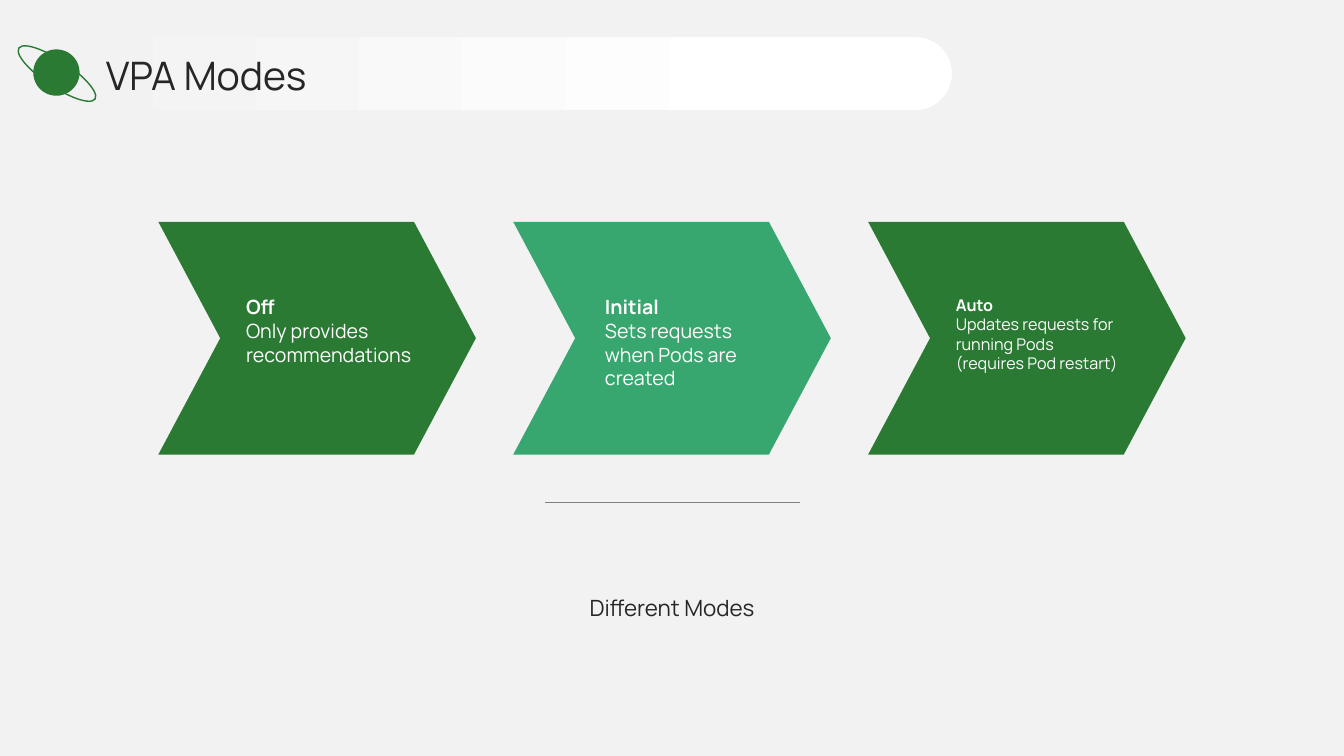
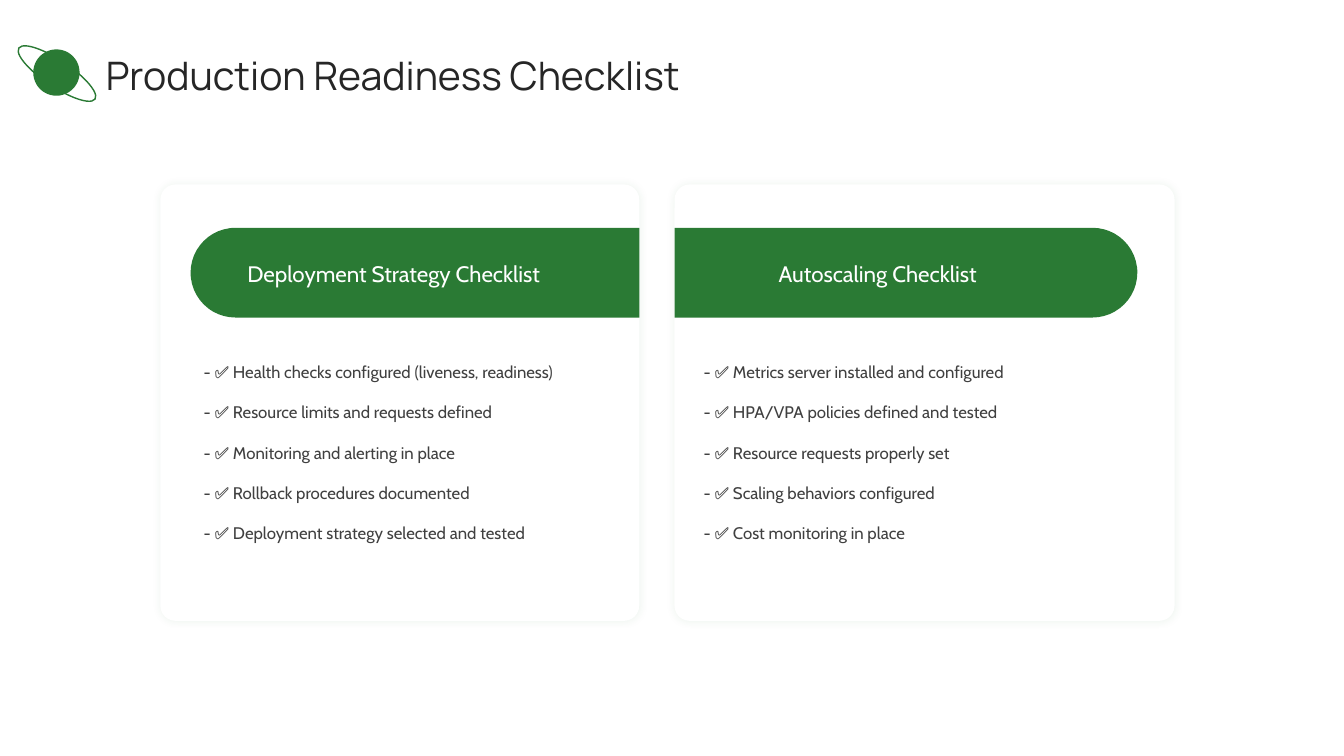
from dataclasses import dataclass

import lxml.etree
import pptx
import pptx.dml.color
import pptx.enum.shapes
import pptx.enum.text
import pptx.oxml.ns
import pptx.util

Inches = pptx.util.Inches
SHAPE = pptx.enum.shapes.MSO_SHAPE
ALIGN = pptx.enum.text.PP_ALIGN
ANCHOR = pptx.enum.text.MSO_ANCHOR
qn = pptx.oxml.ns.qn


@dataclass(frozen=True)
class Theme:
    green: str = "2A7A34"
    mint: str = "37A76F"
    white: str = "FFFFFF"
    mist: str = "F2F2F2"
    ink: str = "262626"
    body_ink: str = "404040"
    rule: str = "808080"
    heading_font: str = "Manrope"
    body_font: str = "Cabin"
    title_size: float = 28
    label_size: float = 16
    mode_size: float = 14
    small_mode_size: float = 11.5
    item_size: float = 12


THEME = Theme()


def rgb(color):
    return pptx.dml.color.RGBColor.from_string(color)


# Basic elements
def add_shape(slide, kind, box, fill=None, outline=None, adjustments=(), rotation=0):
    shape = slide.shapes.add_shape(kind, *map(Inches, box))
    shape.shadow.inherit = False
    shape.rotation = rotation
    for index, value in enumerate(adjustments):
        shape.adjustments[index] = value
    if fill:
        shape.fill.solid()
        shape.fill.fore_color.rgb = rgb(fill)
    else:
        shape.fill.background()
    if outline:
        shape.line.color.rgb = rgb(outline)
        shape.line.width = pptx.util.Pt(1)
    else:
        shape.line.fill.background()
    return shape


def add_text(slide, box, lines, size, color, font, align=ALIGN.LEFT,
             anchor=ANCHOR.TOP, spacing=None, bold_first=False):
    frame = slide.shapes.add_textbox(*map(Inches, box)).text_frame
    frame.word_wrap = True
    frame.vertical_anchor = anchor
    frame.margin_left = frame.margin_right = frame.margin_top = frame.margin_bottom = 0
    frame.text = "\n".join(lines)
    for index, paragraph in enumerate(frame.paragraphs):
        paragraph.alignment = align
        paragraph.line_spacing = spacing
        for run in paragraph.runs:
            run.font.size = pptx.util.Pt(size)
            run.font.name = font
            run.font.color.rgb = rgb(color)
            run.font.bold = bold_first and index == 0


def add_rule(slide, left, right, y):
    rule = slide.shapes.add_connector(pptx.enum.shapes.MSO_CONNECTOR.STRAIGHT,
                                      *map(Inches, (left, y, right, y)))
    rule.line.color.rgb = rgb(THEME.rule)
    rule.line.width = pptx.util.Pt(0.5)
    lxml.etree.SubElement(rule._element.spPr, qn("a:effectLst"))


def add_glow(card):
    effects = card._element.spPr.find(qn("a:effectLst"))
    shadow = lxml.etree.SubElement(effects, qn("a:outerShdw"),
                                   blurRad=str(pptx.util.Pt(5.6)), dist="0", dir="0",
                                   algn="ctr", rotWithShape="0")
    tint = lxml.etree.SubElement(shadow, qn("a:srgbClr"), val=THEME.green)
    lxml.etree.SubElement(tint, qn("a:alpha"), val="8000")


# Parts shared by the slides
def add_slide(deck, background):
    slide = deck.slides.add_slide(deck.slide_layouts[6])
    slide.background.fill.solid()
    slide.background.fill.fore_color.rgb = rgb(background)
    return slide


def add_title(slide, title):
    add_text(slide, (1.05, 0.49, 11.67, 0.51), [title], THEME.title_size, THEME.ink,
             THEME.heading_font, anchor=ANCHOR.MIDDLE)
    # Planet and its ring
    add_shape(slide, SHAPE.OVAL, (0.33, 0.49, 0.46, 0.46), THEME.green)
    add_shape(slide, SHAPE.OVAL, (0.11, 0.6, 0.91, 0.26), outline=THEME.green,
              rotation=33.8)


def add_title_band(slide):
    band = add_shape(slide, SHAPE.ROUNDED_RECTANGLE, (0.5, 0.37, 8.94, 0.72),
                     THEME.white, adjustments=[0.5])
    band.fill.gradient()
    band.fill.gradient_angle = 0
    stops = ((0, THEME.mist), (0.8, THEME.white))
    for stop, (position, color) in zip(band.fill.gradient_stops, stops):
        stop.position = position
        stop.color.rgb = rgb(color)


# Slide 1: chevrons
def add_mode(slide, index, color, name, description, size, text_left, text_width):
    left = 1.57 + 3.52 * index
    add_shape(slide, SHAPE.CHEVRON, (left, 2.2, 3.15, 2.31), color, adjustments=[0.266])
    add_text(slide, (text_left, 2.93, text_width, 1.21), [name, description], size,
             THEME.white, THEME.heading_font, bold_first=True)


def build_modes(deck):
    slide = add_slide(deck, THEME.mist)
    modes = (
        (THEME.green, "Off", "Only provides recommendations",
         THEME.mode_size, 2.44, 1.69),
        (THEME.mint, "Initial", "Sets requests when Pods are created",
         THEME.mode_size, 6, 1.63),
        (THEME.green, "Auto", "Updates requests for running Pods (requires Pod restart)",
         THEME.small_mode_size, 9.48, 1.66),
    )
    for index, mode in enumerate(modes):
        add_mode(slide, index, *mode)
    add_rule(slide, 5.41, 7.93, 4.98)
    add_text(slide, (1.28, 5.22, 10.77, 0.94), ["Different Modes"], THEME.label_size,
             THEME.ink, THEME.heading_font, ALIGN.CENTER, ANCHOR.BOTTOM)
    add_title_band(slide)
    add_title(slide, "VPA Modes")


# Slide 2: checklist cards
def add_heading_band(slide, left, width, rotation):
    top, height = 2.26, 0.89
    # The box is given upright, then turned about its centre
    upright = (left + (width - height) / 2, top + (height - width) / 2, height, width)
    add_shape(slide, SHAPE.ROUND_2_SAME_RECTANGLE, upright, THEME.green,
              adjustments=[0.5, 0], rotation=rotation)


def add_checklist(slide, card, band, heading_span, items_span, heading, items):
    left, width = card
    panel = add_shape(slide, SHAPE.ROUNDED_RECTANGLE, (left, 1.83, width, 4.33),
                      THEME.white, adjustments=[0.035])
    add_glow(panel)
    add_heading_band(slide, *band)
    left, width = heading_span
    add_text(slide, (left, 2.3, width, 0.82), [heading], THEME.label_size, THEME.white,
             THEME.body_font, ALIGN.CENTER, ANCHOR.MIDDLE)
    left, width = items_span
    add_text(slide, (left, 3.39, width, 2.2), [f"- ✅ {item}" for item in items],
             THEME.item_size, THEME.body_ink, THEME.body_font, spacing=2.0)


def build_checklists(deck):
    slide = add_slide(deck, THEME.white)
    add_checklist(slide, (1.59, 4.75), (1.89, 4.45, 270), (2.25, 3.31), (2.02, 4.08),
                  "Deployment Strategy Checklist",
                  ("Health checks configured (liveness, readiness)",
                   "Resource limits and requests defined",
                   "Monitoring and alerting in place",
                   "Rollback procedures documented",
                   "Deployment strategy selected and tested"))
    add_checklist(slide, (6.69, 4.96), (6.69, 4.59, 90), (7.08, 3.25), (6.98, 4.44),
                  "Autoscaling Checklist",
                  ("Metrics server installed and configured",
                   "HPA/VPA policies defined and tested",
                   "Resource requests properly set",
                   "Scaling behaviors configured",
                   "Cost monitoring in place"))
    add_title(slide, "Production Readiness Checklist")


def main():
    deck = pptx.Presentation()
    deck.slide_width = Inches(13.33)
    deck.slide_height = Inches(7.5)
    build_modes(deck)
    build_checklists(deck)
    deck.save("out.pptx")


if __name__ == "__main__":
    main()
